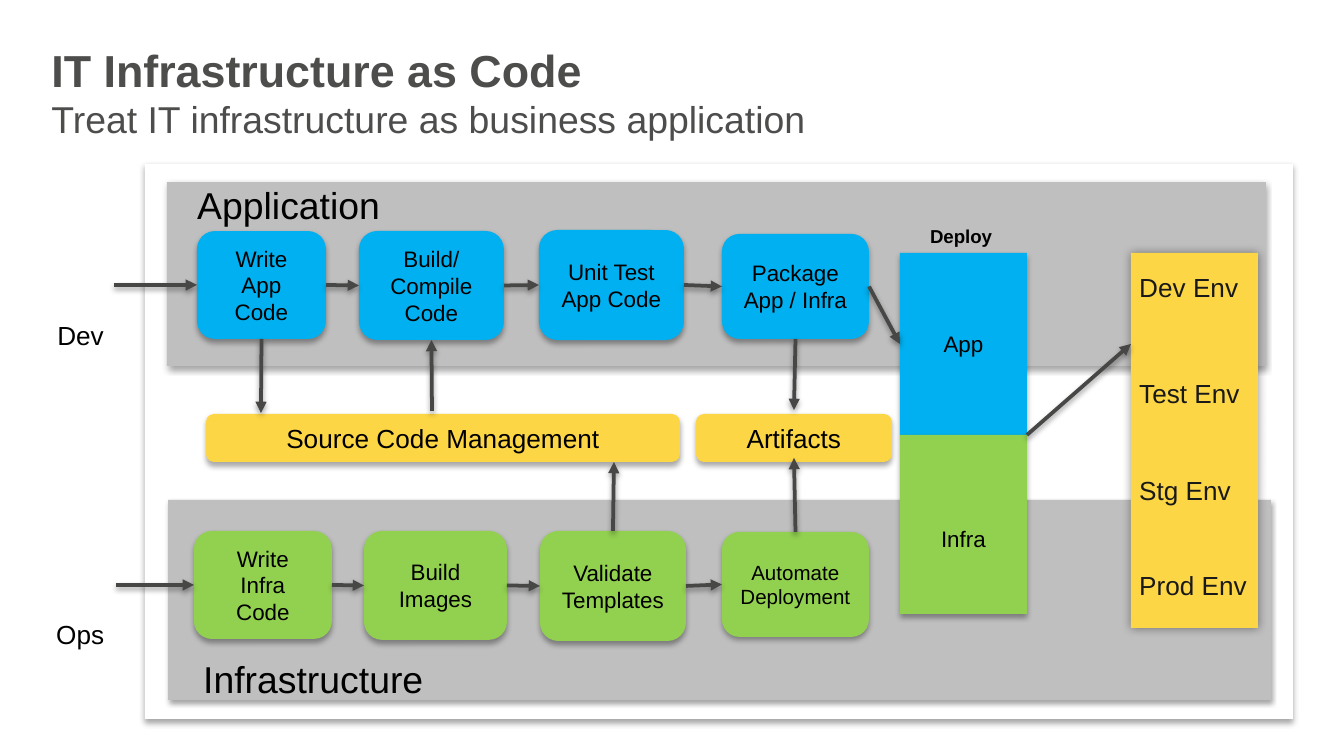
"""Build the slide on treating IT infrastructure as code."""
from dataclasses import dataclass

from lxml.etree import SubElement
from pptx import Presentation
from pptx.dml.color import RGBColor as Rgb
from pptx.enum.shapes import MSO_CONNECTOR as Link, MSO_SHAPE as Form
from pptx.enum.text import MSO_ANCHOR as Anchor, MSO_AUTO_SIZE as Fit, PP_ALIGN as Align
from pptx.oxml.ns import qn
from pptx.util import Pt

EMU_PER_PX = 914400 / 134.4
TOP, LEFT, BOTTOM, RIGHT = range(4)


@dataclass(frozen=True)
class Theme:
    font: str = "Arial"
    paper: str = "FFFFFF"
    lane: str = "BFBFBF"
    app: str = "00B0F0"
    infra: str = "92D050"
    store: str = "FDD645"
    arrow: str = "474746"
    heading: str = "4D4D4C"
    ink: str = "000000"
    env_ink: str = "191919"
    title_size: int = 24
    lane_size: int = 20
    label_size: int = 14
    step_size: int = 12
    tight_size: int = 11
    caption_size: int = 10
    arrow_width: int = 2
    box_shadow: tuple = (35, 3.1, 1.8, 90)
    arrow_shadow: tuple = (38, 3.1, 1.6, 90)
    env_shadow: tuple = (40, 5, 0, 0)


THEME = Theme()


def px(length):
    return round(length * EMU_PER_PX)


def apply(target, values):
    for name, value in values.items():
        setattr(target, name, value)


def style_font(font, size, color, bold=False):
    apply(font, {"name": THEME.font, "size": Pt(size), "bold": bold})
    font.color.rgb = Rgb.from_string(color)


def cast_shadow(effects, shadow):
    alpha, blur, distance, angle = shadow
    outer = SubElement(effects, qn("a:outerShdw"), {
        "blurRad": str(Pt(blur)), "dist": str(Pt(distance)),
        "dir": str(angle * 60000), "rotWithShape": "0"})
    tint = SubElement(outer, qn("a:srgbClr"), val="000000")
    SubElement(tint, qn("a:alpha"), val=str(alpha * 1000))


def write_lines(frame, lines, size, color, align, bold=False):
    for index, line in enumerate(lines):
        paragraph = frame.add_paragraph() if index else frame.paragraphs[0]
        paragraph.alignment = align
        run = paragraph.add_run()
        run.text = line
        style_font(run.font, size, color, bold)


def add_box(slide, place, fill, lines=(), size=THEME.step_size,
            form=Form.RECTANGLE, shadow=THEME.box_shadow):
    box = slide.shapes.add_shape(form, *map(px, place))
    box.fill.solid()
    box.fill.fore_color.rgb = Rgb.from_string(fill)
    box.line.fill.background()
    box.shadow.inherit = False
    cast_shadow(box.element.spPr.find(qn("a:effectLst")), shadow)
    apply(box.text_frame, {"word_wrap": True, "vertical_anchor": Anchor.MIDDLE})
    write_lines(box.text_frame, lines, size, THEME.ink, Align.CENTER)
    return box


def add_label(slide, place, text, size=THEME.label_size, color=THEME.ink,
              align=Align.LEFT, bold=False):
    frame = slide.shapes.add_textbox(*map(px, place)).text_frame
    apply(frame, {"word_wrap": False, "auto_size": Fit.SHAPE_TO_FIT_TEXT})
    write_lines(frame, [text], size, color, align, bold)


def add_arrow(slide, start, end):
    """Draw an arrow between points, or (box, side) pairs to be joined."""
    ends = [(0, 0) if hasattr(mark[0], "text_frame") else mark for mark in (start, end)]
    arrow = slide.shapes.add_connector(Link.STRAIGHT, *(px(v) for mark in ends for v in mark))
    for mark, join in ((start, arrow.begin_connect), (end, arrow.end_connect)):
        if hasattr(mark[0], "text_frame"):
            join(*mark)
    arrow.line.width = Pt(THEME.arrow_width)
    arrow.line.color.rgb = Rgb.from_string(THEME.arrow)
    properties = arrow.element.spPr
    SubElement(properties.find(qn("a:ln")), qn("a:tailEnd"), type="triangle")
    cast_shadow(SubElement(properties, qn("a:effectLst")), THEME.arrow_shadow)


def add_title(slide, heading, subheading):
    title = slide.shapes.title
    apply(title, dict(zip(("left", "top", "width", "height"), map(px, (38, 36, 1292, 75)))))
    frame = title.text_frame
    apply(frame, {"word_wrap": True, "auto_size": Fit.NONE, "vertical_anchor": Anchor.TOP})
    paragraph = frame.paragraphs[0]
    paragraph.alignment = Align.LEFT
    first = paragraph.add_run()
    first.text = heading
    style_font(first.font, THEME.title_size, THEME.heading, True)
    paragraph.add_line_break()
    second = paragraph.add_run()
    second.text = subheading
    style_font(second.font, THEME.lane_size, THEME.heading)


def add_row(slide, entry, fill, steps):
    """Add a row of steps joined from left to right, and return its boxes."""
    boxes = [add_box(slide, place, fill, lines, size, Form.ROUNDED_RECTANGLE)
             for place, lines, size in steps]
    sources = [entry] + [(box, RIGHT) for box in boxes[:-1]]
    for source, box in zip(sources, boxes):
        add_arrow(slide, source, (box, LEFT))
    return boxes


def main():
    deck = Presentation()
    apply(deck, {"slide_width": px(1344), "slide_height": px(756)})
    slide = deck.slides.add_slide(deck.slide_layouts[5])
    add_title(slide, "IT Infrastructure as Code",
              "Treat IT infrastructure as business application")

    add_box(slide, (145, 164, 1148, 555), THEME.paper)
    add_box(slide, (168, 500, 1103, 200), THEME.lane)
    add_box(slide, (167, 182, 1099, 184), THEME.lane)
    add_label(slide, (184, 176, 224, 59), "Application", THEME.lane_size)
    add_label(slide, (190, 650, 260, 59), "Infrastructure", THEME.lane_size)
    add_label(slide, (44, 313, 74, 46), "Dev")
    add_label(slide, (43, 612, 75, 46), "Ops")

    for place, name in (((206, 414, 474, 48), "Source Code Management"),
                        ((696, 414, 196, 48), "Artifacts")):
        add_box(slide, place, THEME.store, [name], THEME.label_size, Form.ROUNDED_RECTANGLE)

    size = THEME.step_size
    write_app, compile_app, _, package = add_row(slide, (114, 285), THEME.app, (
        ((197, 231, 129, 108), ("Write", "App Code"), size),
        ((359, 231, 145, 109), ("Build/", "Compile", "Code"), size),
        ((539, 230, 145, 110), ("Unit Test", "App Code"), size),
        ((722, 234, 147, 105), ("Package", "App / Infra"), size)))
    _, _, validate, automate = add_row(slide, (116, 585), THEME.infra, (
        ((194, 531, 138, 108), ("Write", "Infra Code"), size),
        ((364, 531, 143, 109), ("Build", "Images"), size),
        ((540, 531, 146, 110), ("Validate", "Templates"), size),
        ((722, 532, 147, 105), ("Automate", "Deployment"), THEME.tight_size)))

    add_label(slide, (915, 218, 92, 36), "Deploy", THEME.caption_size,
              align=Align.CENTER, bold=True)
    deploy_app = add_box(slide, (900, 253, 127, 182), THEME.app, ["App"])
    deploy_infra = add_box(slide, (900, 435, 127, 179), THEME.infra, ["Infra"])
    deploy_infra.text_frame.margin_top = px(34)

    add_box(slide, (1131, 253, 127, 375), THEME.store, shadow=THEME.env_shadow)
    for name, top, width in (("Dev Env", 265, 126), ("Test Env", 371, 128),
                             ("Stg Env", 468, 120), ("Prod Env", 563, 136)):
        add_label(slide, (1126, top, width, 46), name, color=THEME.env_ink)

    for start, end in (((write_app, BOTTOM), (261, 413)),
                       ((432, 411), (compile_app, BOTTOM)),
                       ((package, BOTTOM), (794, 410)),
                       ((validate, TOP), (614, 462)),
                       ((automate, TOP), (794, 458)),
                       ((package, RIGHT), (deploy_app, LEFT)),
                       ((1027, 435), (1131, 344))):
        add_arrow(slide, start, end)
    deck.save("out.pptx")


if __name__ == "__main__":
    main()
